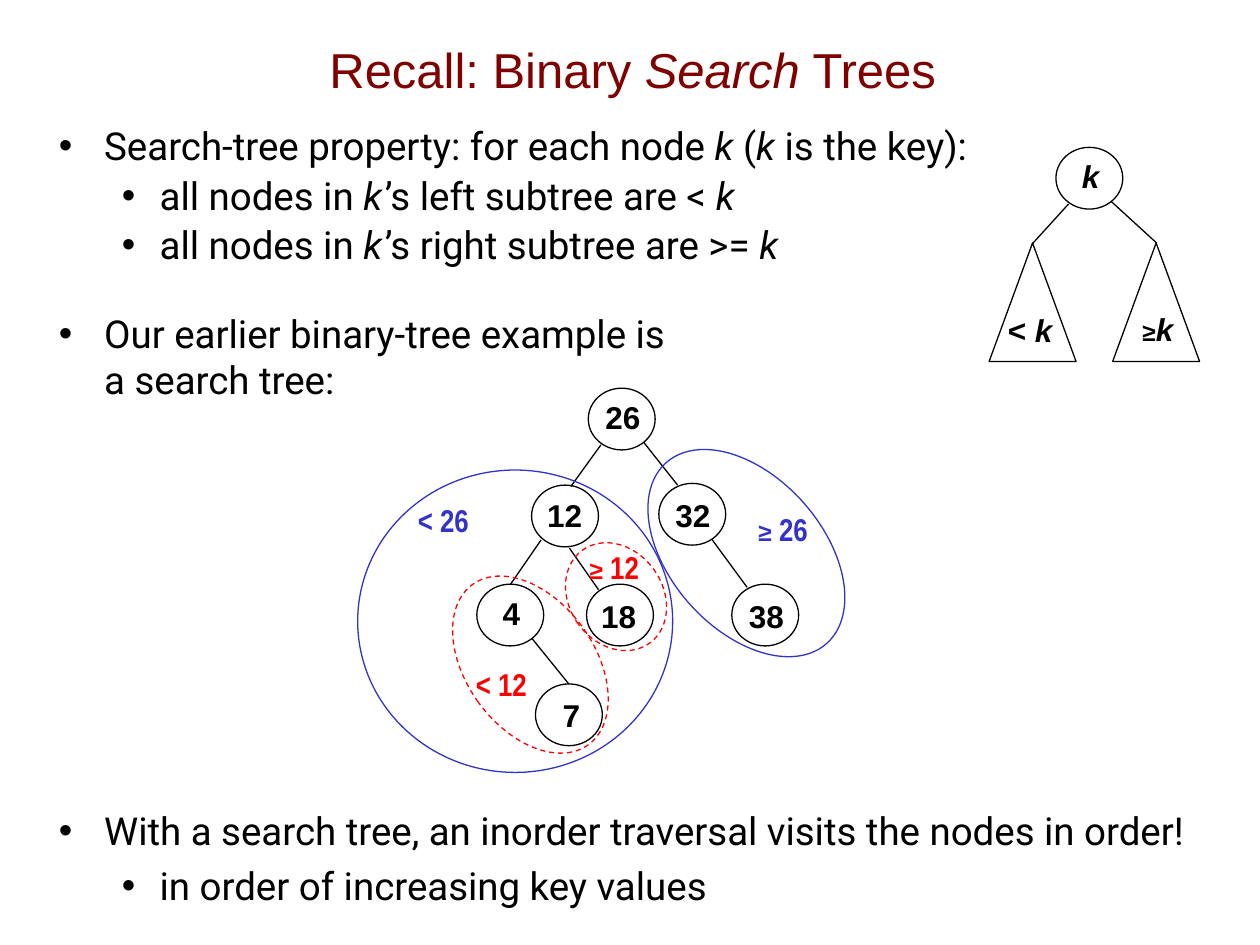
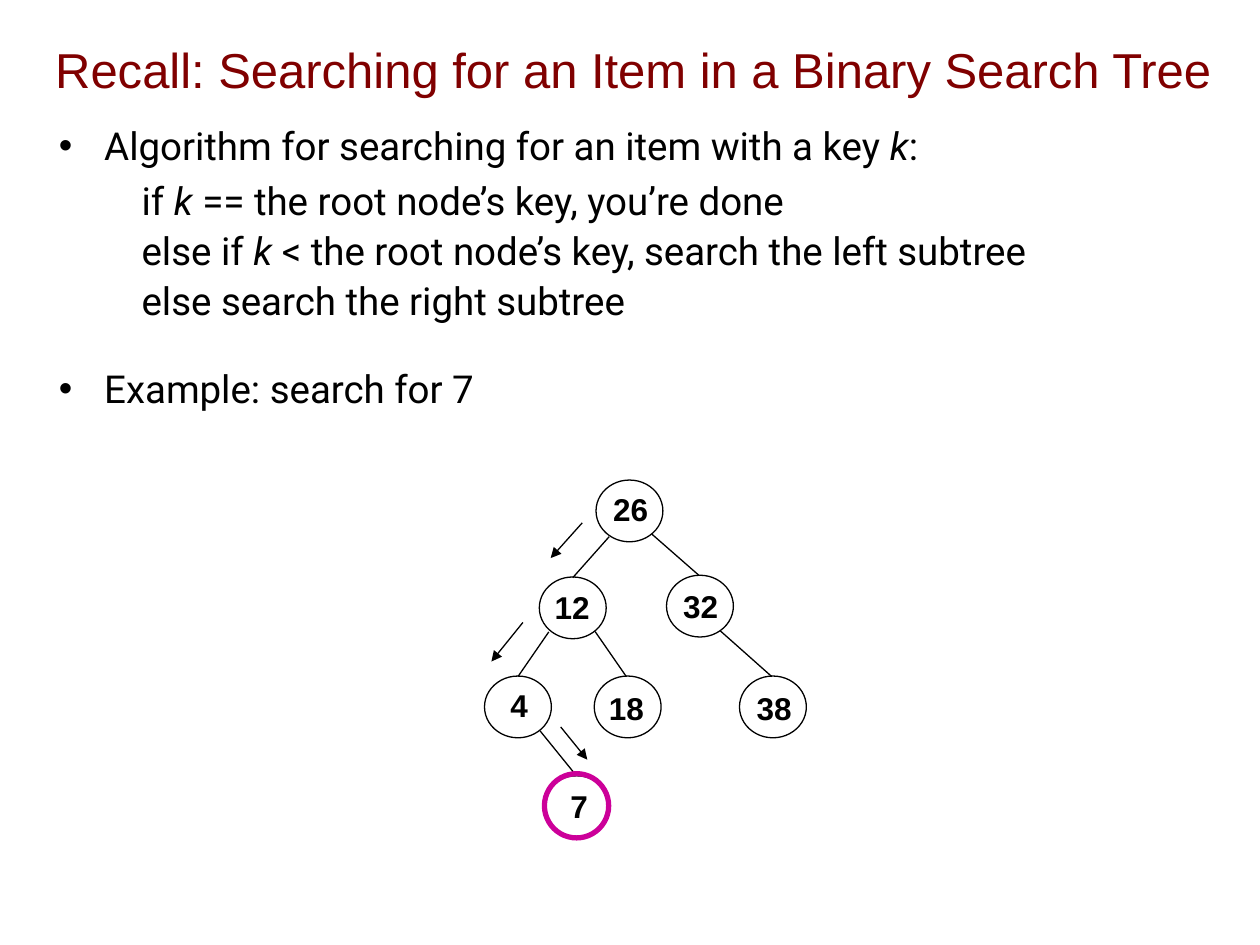
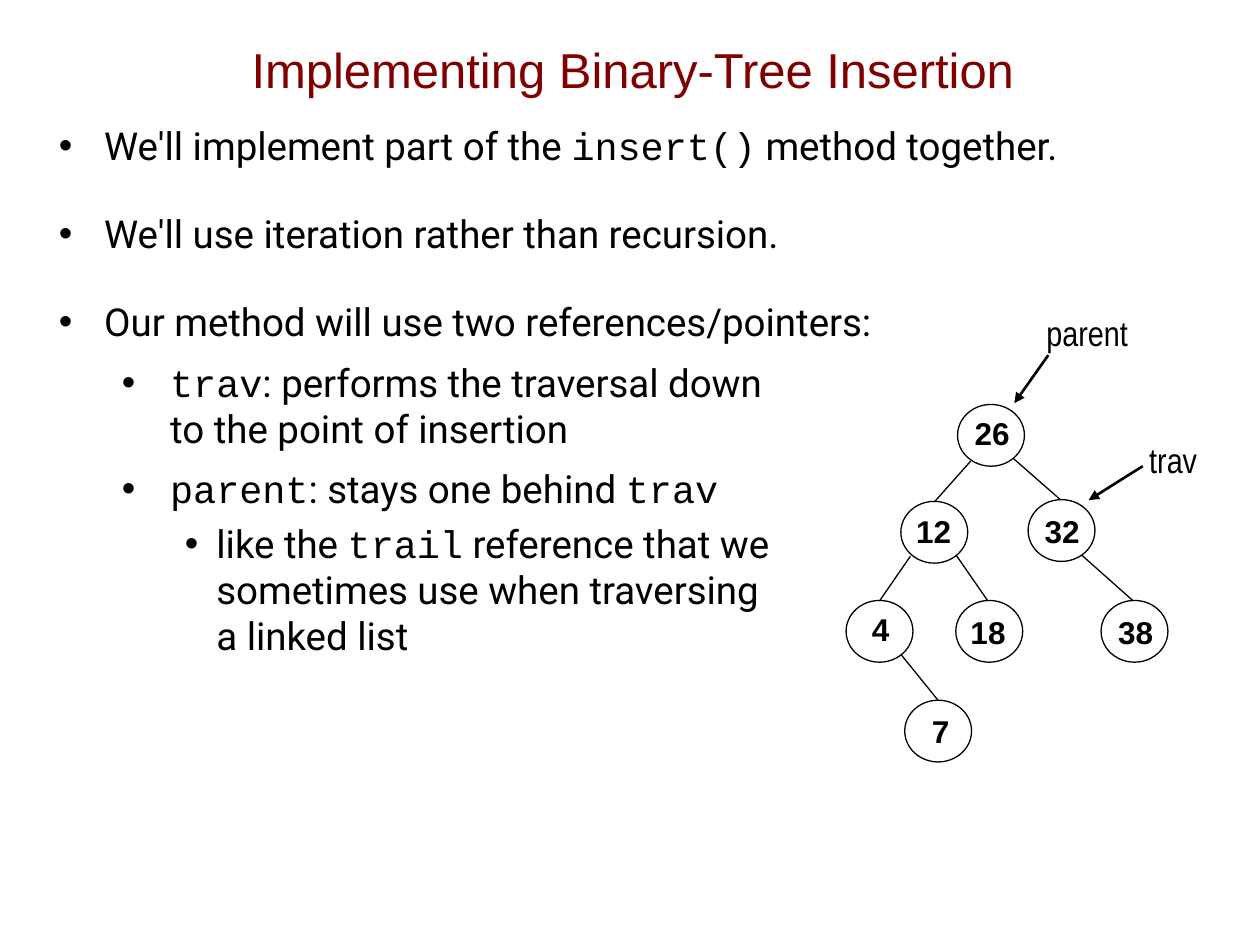
from lxml import etree
from pptx import Presentation
from pptx import util as u
from pptx.dml import color as dml_color
from pptx.enum import dml, shapes, text
from pptx.oxml import ns

COLORS = {
    "title": "800000",
    "ink": "000000",
    "paper": "FFFFFF",
    "outer": "3333CC",
    "inner": "FF0000",
    "found": "CC0099",
}
TITLE_BOX = (31, 5.8, 661, 67)
WIDE_TITLE_BOX = (15.1, 5.8, 693.4, 67)
BODY_BOX = (26.6, 66.2, 693.4, 442)
NODE_SIZE = (38.2, 35.3)
LABEL_SIZE = (43.9, 29.5)
INDENTS = {"point": (25.9, -25.9), "sub": (57.6, -21.6), "term": (63.6, -27.6),
           "detail": (90, -18), "code": (47.3, 0)}
LEVELS = {"point": 0, "sub": 1, "term": 1, "detail": 2, "code": 1}

NODES = [
    ("26", (0, 0), (-2.2, 2.2)),
    ("12", (-32.4, 55.4), (-3.2, 2.7)),
    ("32", (40.3, 54.4), (-2.5, 3.4)),
    ("4", (-63.7, 112), (-2.2, 2.2)),
    ("18", (-1, 112), (-3.6, 3.6)),
    ("38", (82, 112), (-2.2, 3.6)),
    ("7", (-30.2, 169), (-1.4, 3.1)),
]
EDGES = {
    "26-12": (7.5, 32.4, -13.3, 55.8),
    "26-32": (32, 31, 58.7, 54.4),
    "12-4": (-27, 86.8, -44.6, 112.3),
    "12-18": (-0.5, 86.6, 17.3, 112.3),
    "32-38": (71, 86.2, 100.4, 112.3),
    "4-7": (-32, 143.3, -11.2, 169),
}
STEEP_EDGES = {
    "26-12": (7.2, 32.4, -10, 56.2),
    "26-32": (31.7, 31, 51, 55.4),
    "12-18": (-10.8, 91.4, 5.8, 115.2),
    "32-38": (70.6, 86.4, 90.7, 113.8),
}

ITALIC = {"italic": True}
CODE = {"font": "Courier New"}
THIN = {"size": 6, "italic": True}
SMALL = {"size": 14, "font": "Arial"}


def rgb(name):
    return dml_color.RGBColor.from_string(COLORS[name])


def points(values):
    return [u.Pt(value) for value in values]


def shift(origin, box):
    return (origin[0] + box[0], origin[1] + box[1], *box[2:])


def write(para, spans, size=18, font="Arial", color="ink", bold=False, italic=False):
    base = dict(size=size, font=font, bold=bold, italic=italic)
    for item in [spans] if isinstance(spans, str) else spans:
        words, changes = (item, {}) if isinstance(item, str) else item
        style = {**base, **changes}
        for index, line in enumerate(words.split("\n")):
            if index:
                para.add_line_break()
            span = para.add_run()
            span.text = line
            span.font.size = u.Pt(style["size"])
            span.font.name = style["font"]
            span.font.bold = style["bold"]
            span.font.italic = style["italic"]
            span.font.color.rgb = rgb(color)


def add_text(page, box, spans, align="CENTER", anchor="TOP", wrap=True, fill=None, **style):
    holder = page.shapes.add_textbox(*points(box))
    if fill:
        holder.fill.solid()
        holder.fill.fore_color.rgb = rgb(fill)
    frame = holder.text_frame
    frame.word_wrap = wrap
    frame.vertical_anchor = getattr(text.MSO_ANCHOR, anchor)
    para = frame.paragraphs[0]
    para.alignment = getattr(text.PP_ALIGN, align)
    write(para, spans, **style)


def add_outline(page, kind, box, color="ink", width=0.75, turn=0, dashed=False):
    shape = page.shapes.add_shape(kind, *points(box))
    shape.shadow.inherit = False
    shape.fill.background()
    shape.line.color.rgb = rgb(color)
    shape.line.width = u.Pt(width)
    shape.rotation = turn
    if dashed:
        shape.line.dash_style = dml.MSO_LINE.DASH


def add_line(page, origin, ends, width=0.75, arrow=False):
    start, end = shift(origin, ends[:2]), shift(origin, ends[2:])
    line = page.shapes.add_connector(shapes.MSO_CONNECTOR.STRAIGHT, *points(start + end))
    line.line.color.rgb = rgb("ink")
    line.line.width = u.Pt(width)
    properties = line.element.spPr
    if arrow:
        stroke = properties.find(ns.qn("a:ln"))
        etree.SubElement(stroke, ns.qn("a:tailEnd"), type="triangle")
    etree.SubElement(properties, ns.qn("a:effectLst"))


def add_title(page, spans, box=TITLE_BOX):
    add_text(page, box, spans, anchor="MIDDLE", size=28, color="title")


def add_body(page, box, items):
    frame = page.shapes.add_textbox(*points(box)).text_frame
    frame.word_wrap = True
    for index, (kind, before, spans) in enumerate(items):
        para = frame.add_paragraph() if index else frame.paragraphs[0]
        para.level = LEVELS[kind]
        para.space_before = u.Pt(before)
        write(para, spans, size=22, font="Roboto")
        margin, indent = INDENTS[kind]
        properties = para._p.get_or_add_pPr()
        properties.set("marL", str(u.Pt(margin)))
        properties.set("indent", str(u.Pt(indent)))
        if kind == "code":
            etree.SubElement(properties, ns.qn("a:buNone"))
        else:
            etree.SubElement(properties, ns.qn("a:buFont"), typeface="Arial")
            etree.SubElement(properties, ns.qn("a:buChar"), char="•")


def add_node(page, corner, key, nudge, **style):
    add_text(page, shift(corner, nudge + LABEL_SIZE), key, fill="paper", bold=True, **style)
    add_outline(page, shapes.MSO_SHAPE.OVAL, corner + NODE_SIZE)


def add_tree(page, root, edges=EDGES):
    for key, offset, nudge in NODES:
        add_node(page, shift(root, offset), key, nudge)
    for ends in edges.values():
        add_line(page, root, ends)


def add_property_sketch(page, root):
    add_node(page, root, "k", (-2.2, 2.2), italic=True)
    branches = [
        ((-38.2, 54.7), (-36.7, 90), ["< ", ("k", ITALIC)], (7.2, 32.4, -13.7, 55.4)),
        ((32.4, 54.7), (36.3, 89.3), [("≥", SMALL), ("k", ITALIC)], (31.7, 31, 57.6, 54.7)),
    ]
    for corner, label, spans, ends in branches:
        add_text(page, shift(root, label + LABEL_SIZE), spans, fill="paper", bold=True)
        add_outline(page, shapes.MSO_SHAPE.ISOSCELES_TRIANGLE, shift(root, corner + (49.7, 67.7)))
        add_line(page, root, ends)


def add_subtree_regions(page, root):
    at_least = ("≥", SMALL)
    regions = [
        ("outer", (-131.8, 46.8, 180, 172.8), 0, "< 26", (-105.1, 61.2)),
        ("outer", (46.8, 25.2, 87.1, 138.2), 318.4, [at_least, " 26"], (90, 66.2)),
        ("inner", (-69.8, 101.5, 73.4, 113), 324.2, "< 12", (-72, 154.8)),
        ("inner", (-10.8, 86.4, 53.3, 65.5), 324.2, [at_least, " 12"], (-6.5, 87.8)),
    ]
    for color, oval, turn, spans, corner in regions:
        add_outline(page, shapes.MSO_SHAPE.OVAL, shift(root, oval), color=color,
                    turn=turn, dashed=color == "inner")
        width = 43.9 if isinstance(spans, str) else 42.5
        add_text(page, shift(root, corner + (width, 28.8)), spans, align="RIGHT",
                 wrap=False, font="Arial Narrow", color=color, bold=True)


def add_search_steps(page, root):
    for ends in [(-7.9, 24.5, -25.9, 44.6), (-41.8, 81.4, -59.8, 103.7), (-20.2, 141.1, -5, 159.8)]:
        add_line(page, root, ends, arrow=True)
    add_outline(page, shapes.MSO_SHAPE.OVAL, shift(root, (-29.5, 167.8, 36.7, 36.7)),
                color="found", width=3)


def add_references(page, root):
    references = [
        ("parent", (43.2, -56.9, 61.2, 31), (51.8, -28.1, 32.4, -0.7)),
        ("trav", (102.2, 15.8, 41.8, 31), (105.8, 35.3, 74.9, 54.7)),
    ]
    for name, box, ends in references:
        add_text(page, shift(root, box), name, align="RIGHT", wrap=False,
                 size=20, font="Arial Narrow")
        add_line(page, root, ends, width=1.5, arrow=True)


def build_property_slide(page):
    add_title(page, ["Recall: Binary ", ("Search", ITALIC), " Trees"])
    key = ("k", ITALIC)
    add_body(page, BODY_BOX, [
        ("point", 14, ["Search-tree property: for each node ", ("k ", ITALIC), "(", key,
                       " is the key):"]),
        *[("sub", 2, ["all nodes in ", key, (" ", THIN), f"’s {side} subtree are {sign} ", key])
          for side, sign in [("left", "<"), ("right", ">=")]],
        ("point", 24, "Our earlier binary-tree example is\na search tree:"),
        ("point", 231.5, "With a search tree, an inorder traversal visits the nodes in order!"),
        ("sub", 5, "in order of increasing key values"),
    ])
    root = (336.2, 221.8)
    add_tree(page, root, {**EDGES, **STEEP_EDGES})
    add_property_sketch(page, (603.4, 84.2))
    add_subtree_regions(page, root)


def build_search_slide(page):
    add_title(page, "Recall: Searching for an Item in a Binary Search Tree", WIDE_TITLE_BOX)
    key = ("k", ITALIC)
    add_body(page, BODY_BOX, [
        ("point", 14.2, ["Algorithm for searching for an item with a key ", key, ":"]),
        ("code", 5.2, ["if ", key, " == the root node’s key, you’re done"]),
        ("code", 2, ["else if ", key, " < the root node’s key, search the left subtree"]),
        ("code", 2, "else search the right subtree"),
        ("point", 24, "Example: search for 7"),
    ])
    root = (340.6, 274.3)
    add_tree(page, root)
    add_search_steps(page, root)


def build_insertion_slide(page):
    add_title(page, "Implementing Binary-Tree Insertion")
    add_body(page, BODY_BOX, [
        ("point", 14.2, ["We'll implement part of the ", ("insert()", CODE), " method together."]),
        ("point", 24, "We'll use iteration rather than recursion."),
        ("point", 24, "Our method will use two references/pointers:"),
        ("term", 8, [("trav", CODE), ": performs the traversal down\nto the point of insertion"]),
        ("term", 8, [("parent", CODE), ": stays one behind ", ("trav", CODE)]),
        ("detail", 5, ["like the ", ("trail", CODE),
                       " reference that we\nsometimes use when traversing\na linked list"]),
    ])
    root = (547.2, 231.1)
    add_tree(page, root)
    add_references(page, root)


def main():
    deck = Presentation()
    deck.slide_width, deck.slide_height = points((720, 540))
    for build in (build_property_slide, build_search_slide, build_insertion_slide):
        build(deck.slides.add_slide(deck.slide_layouts[6]))
    deck.save("out.pptx")


if __name__ == "__main__":
    main()
